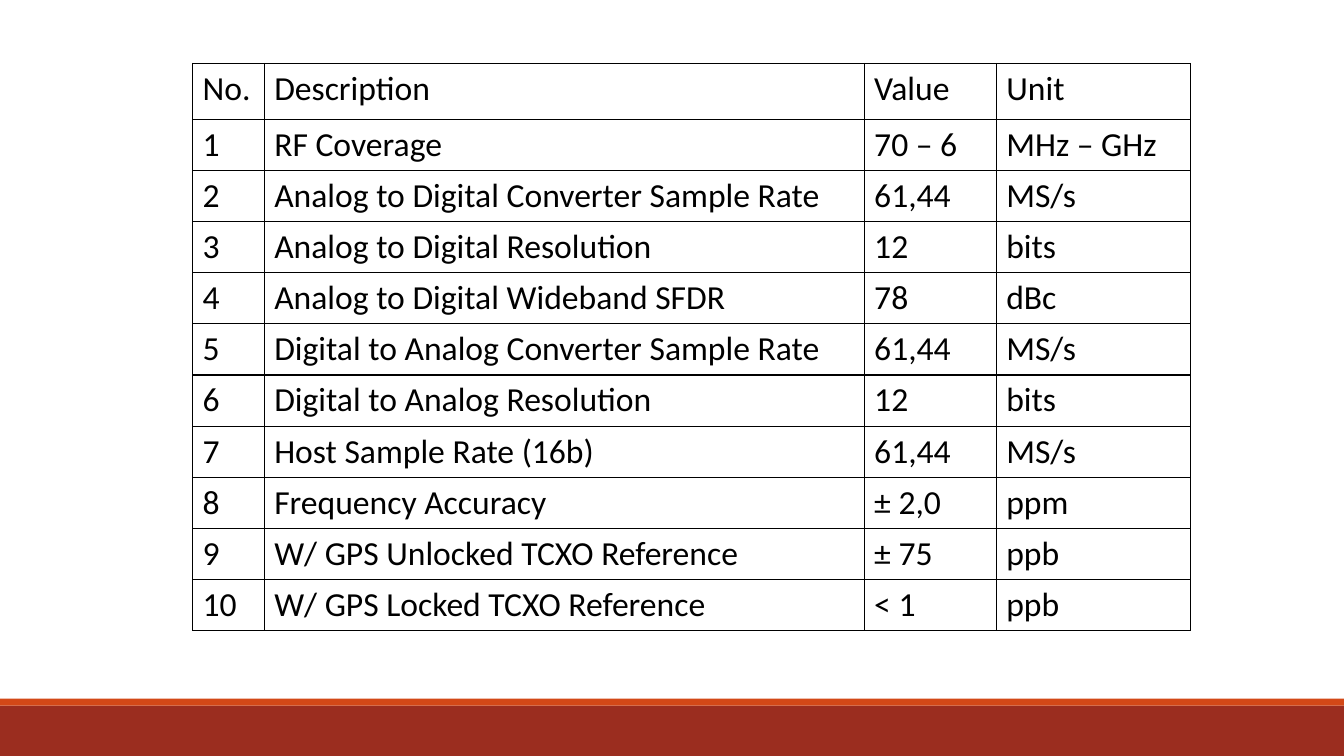
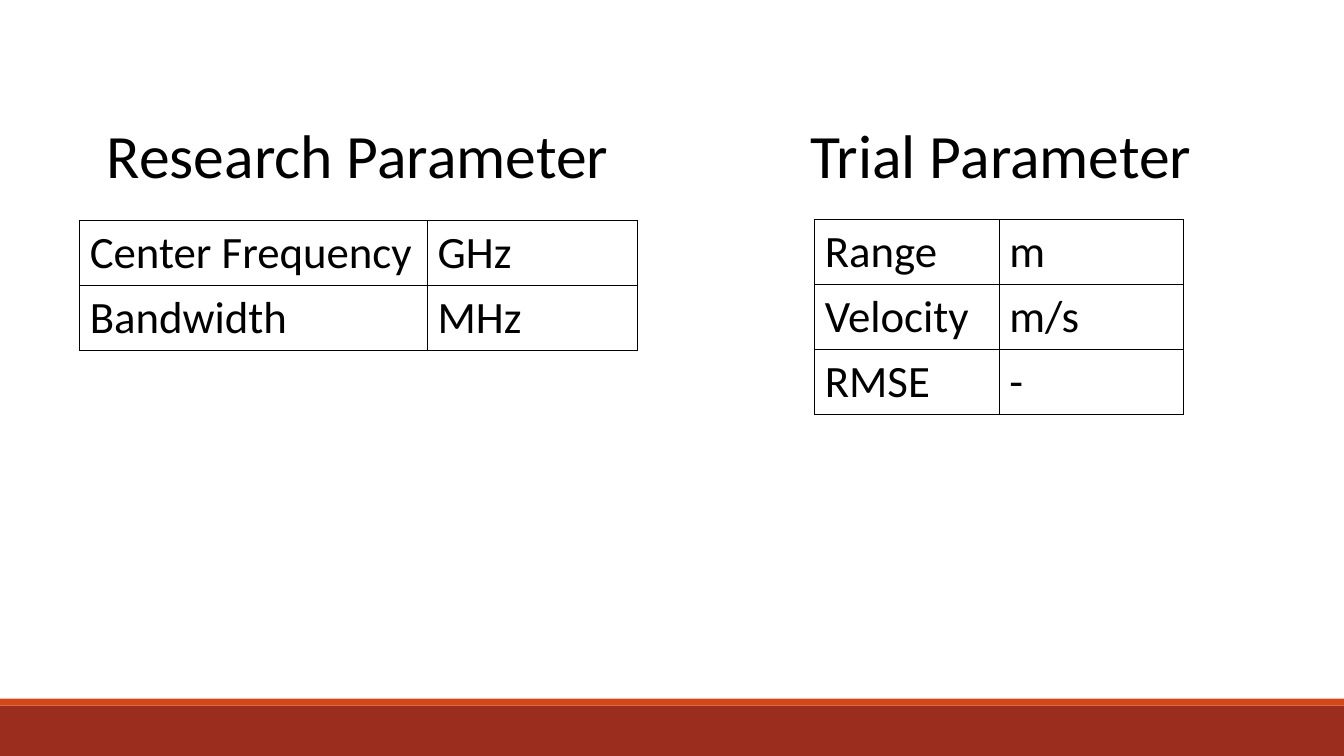
"""Build two slides of radio specifications and measurement parameters."""
from lxml import etree
from pptx import Presentation
from pptx.dml.color import RGBColor
from pptx.enum.shapes import MSO_SHAPE
from pptx.enum.text import MSO_ANCHOR, MSO_AUTO_SIZE
from pptx.oxml.ns import qn
from pptx.util import Inches, Pt

RECTANGLE = MSO_SHAPE.RECTANGLE
TOP = MSO_ANCHOR.TOP
NO_AUTOFIT = MSO_AUTO_SIZE.NONE
BLACK, ORANGE, RUST = "000000", "D34817", "9B2D1F"
COMPARISON_LAYOUT, BLANK_LAYOUT = 4, 6
HEADING_SIZE = 44

presentation = Presentation()
presentation.slide_width = Inches(13.33)
presentation.slide_height = Inches(7.5)
COLUMN = presentation.slide_width / 100
ROW = presentation.slide_height / 100


def format_text(frame, size):
    paragraph = frame.paragraphs[0]
    paragraph.space_before = Pt(0)
    for name, value in {"name": "Calibri", "size": Pt(size), "bold": False}.items():
        setattr(paragraph.font, name, value)
    paragraph.font.color.rgb = RGBColor.from_string(BLACK)


def add_grid(slide, left, top, columns, rows, size, records):
    table = slide.shapes.add_table(
        len(rows), len(columns), int(left * COLUMN), int(top * ROW),
        int(sum(columns) * COLUMN), int(sum(rows) * ROW)).table
    table.first_row = table.horz_banding = False
    for column, width in zip(table.columns, columns):
        column.width = int(width * COLUMN)
    for row, height, record in zip(table.rows, rows, records):
        row.height = int(height * ROW)
        for cell, text in zip(row.cells, record):
            cell.text = text
            format_text(cell.text_frame, size)
            cell.fill.background()
            properties = cell._tc.get_or_add_tcPr()
            for position, edge in enumerate(("a:lnL", "a:lnR", "a:lnT", "a:lnB")):
                line = etree.Element(qn(edge), w=str(Pt(1)))
                fill = etree.SubElement(line, qn("a:solidFill"))
                etree.SubElement(fill, qn("a:srgbClr"), val=BLACK)
                properties.insert(position, line)


specification_slide = presentation.slides.add_slide(presentation.slide_layouts[BLANK_LAYOUT])
master_tree = presentation.slide_master.shapes.element
bands = [(93.33, 6.67, RUST), (92.4, 0.93, ORANGE)]
for position, (top, height, color) in enumerate(bands, start=2):
    band = specification_slide.shapes.add_shape(
        RECTANGLE, 0, int(top * ROW), presentation.slide_width, int(height * ROW))
    band.shadow.inherit = False
    band.fill.solid()
    band.fill.fore_color.rgb = RGBColor.from_string(color)
    band.line.fill.background()
    master_tree.insert(position, band.element)

specifications = [
    ("RF Coverage", "70 – 6", "MHz – GHz"),
    ("Analog to Digital Converter Sample Rate", "61,44", "MS/s"),
    ("Analog to Digital Resolution", "12", "bits"),
    ("Analog to Digital Wideband SFDR", "78", "dBc"),
    ("Digital to Analog Converter Sample Rate", "61,44", "MS/s"),
    ("Digital to Analog Resolution", "12", "bits"),
    ("Host Sample Rate (16b)", "61,44", "MS/s"),
    ("Frequency Accuracy", "± 2,0", "ppm"),
    ("W/ GPS Unlocked TCXO Reference", "± 75", "ppb"),
    ("W/ GPS Locked TCXO Reference", "< 1", "ppb"),
]
records = [("No.", "Description", "Value", "Unit")]
records += [(str(number), *entry) for number, entry in enumerate(specifications, start=1)]
add_grid(specification_slide, 14.33, 8.4, [5.33, 44.64, 9.83, 14.48],
         [7.4] + [6.76] * len(specifications), 24, records)

parameter_slide = presentation.slides.add_slide(presentation.slide_layouts[COMPARISON_LAYOUT])
headings = {
    1: ("Research Parameter", 7.2, 40.2),
    3: ("Trial Parameter", 59.57, 32.1),
}
for placeholder in list(parameter_slide.placeholders):
    index = placeholder.placeholder_format.idx
    if index not in headings:
        placeholder.element.getparent().remove(placeholder.element)
        continue
    text, left, width = headings[index]
    bounds = {"left": left * COLUMN, "top": 14.8 * ROW,
              "width": width * COLUMN, "height": 11.2 * ROW}
    for name, value in bounds.items():
        setattr(placeholder, name, int(value))
    frame = placeholder.text_frame
    frame.text = text
    for name, value in {"vertical_anchor": TOP, "auto_size": NO_AUTOFIT}.items():
        setattr(frame, name, value)
    format_text(frame, HEADING_SIZE)

parameter_tables = [
    (5.93, 29.2, [25.88, 15.6], [("Center Frequency", "GHz"), ("Bandwidth", "MHz")]),
    (60.62, 29.07, [13.73, 13.73], [("Range", "m"), ("Velocity", "m/s"), ("RMSE", "-")]),
]
for left, top, columns, records in parameter_tables:
    add_grid(parameter_slide, left, top, columns, [8.47] * len(records), 32, records)

presentation.save("out.pptx")
